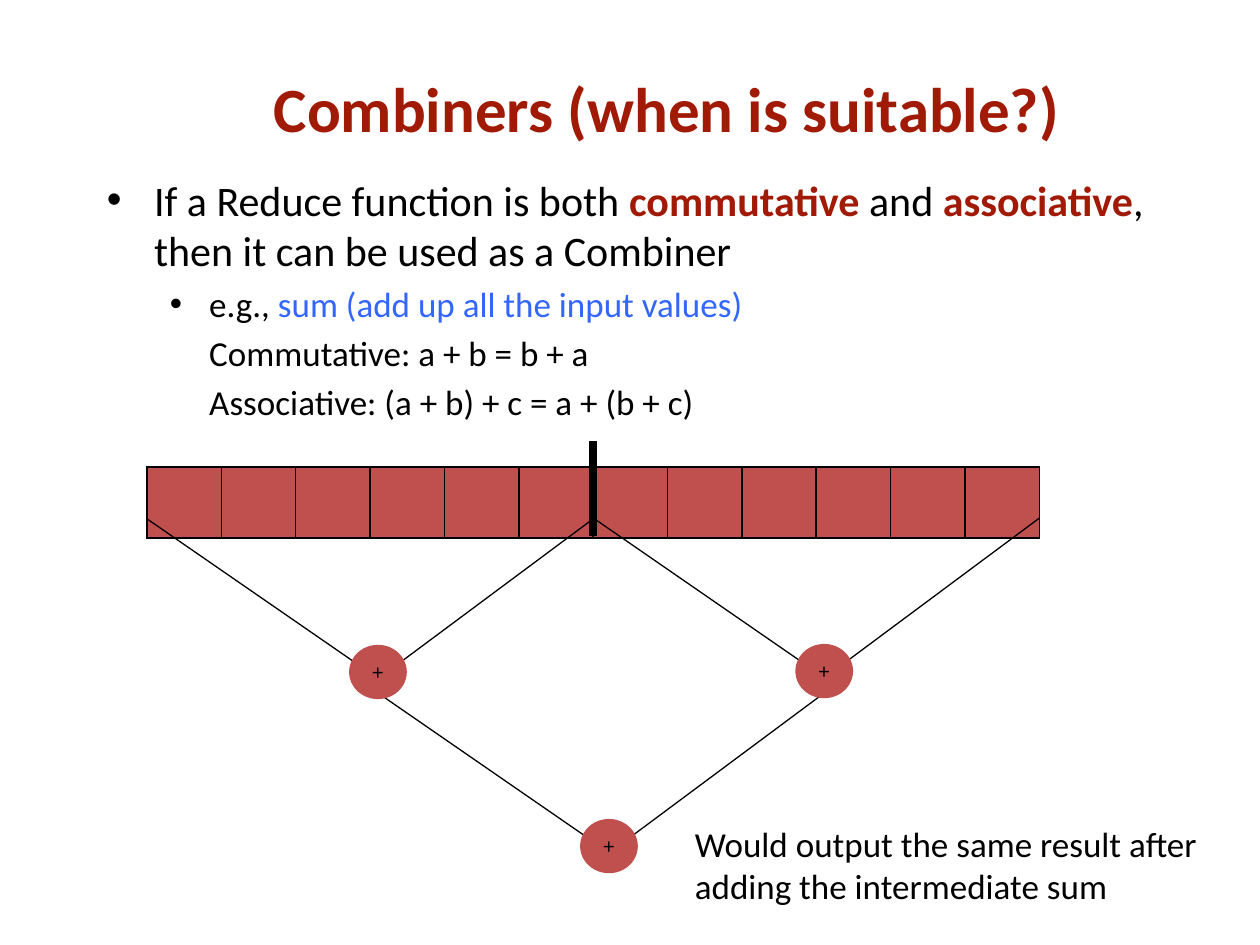
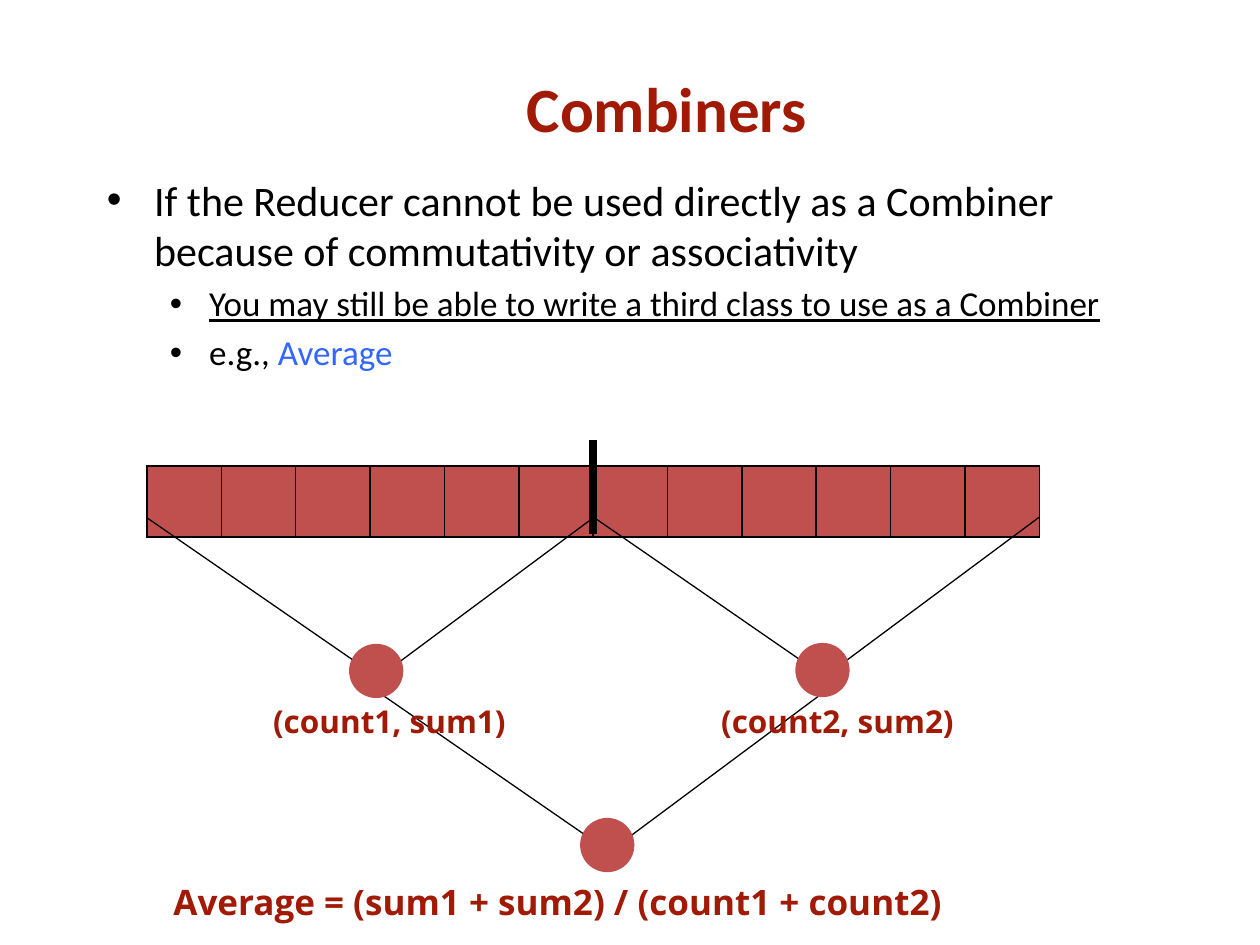
from lxml.etree import SubElement
from pptx import Presentation
from pptx.dml.color import RGBColor
from pptx.enum.shapes import MSO_CONNECTOR, MSO_SHAPE
from pptx.enum.text import MSO_ANCHOR, MSO_AUTO_SIZE, PP_ALIGN
from pptx.oxml.ns import qn
from pptx.util import Pt

BLACK, RED, BLUE, BRICK = "000000", "A01A06", "3366FF", "C0504D"
BODY_FONT, LABEL_FONT = "Calibri", "Open Sans"

# Run styles: colour, bold, underline
PLAIN, STRONG = (BLACK, False, False), (RED, True, False)
EXAMPLE, UNDERLINED = (BLUE, False, False), (BLACK, False, True)

# Paragraph kinds: level, size, left margin, first-line indent, bulleted
KINDS = {
    "point": (0, 24, 27, -27, True),
    "detail": (1, 20, 58.5, -22.5, True),
    "law": (1, 20, 58.5, 0, False),
}

# Notes: text, (left, top, width, height), font, size, colour, bold, wrap
SLIDES = [
    {
        "title": "Combiners (when is suitable?)",
        "body_height": 372,
        "body": [
            ("point", [("If a Reduce function is both ", PLAIN), ("commutative", STRONG),
                       (" and ", PLAIN), ("associative", STRONG),
                       (", then it can be used as a Combiner", PLAIN)]),
            ("detail", [("e.g., ", PLAIN), ("sum (add up all the input values)", EXAMPLE)]),
            ("law", [("Commutative: a + b = b + a", PLAIN)]),
            ("law", [("Associative: (a + b) + c = a + (b + c)", PLAIN)]),
        ],
        "operator": "+",
        "node_width": 33,
        "diagram_shift": 0,
        "notes": [("Would output the same result after adding the intermediate sum",
                   (390, 466.5, 318, 55.5), BODY_FONT, 20, BLACK, False, True)],
    },
    {
        "title": "Combiners",
        "body_height": 426,
        "body": [
            ("point", [("If the Reducer cannot be used directly as a Combiner because of "
                        "commutativity or associativity", PLAIN)]),
            ("detail", [("You may still be able to write a third class to use as a Combiner",
                         UNDERLINED)]),
            ("detail", [("e.g., ", PLAIN), ("Average", EXAMPLE)]),
        ],
        "operator": "",
        "node_width": 31,
        "diagram_shift": -0.6,
        "notes": [
            ("(count1, sum1)", (149, 397.5, 155, 29), LABEL_FONT, 18, RED, True, False),
            ("(count2, sum2)", (405, 397.5, 155, 29), LABEL_FONT, 18, RED, True, False),
            ("Average = (sum1 + sum2) / (count1 + count2)",
             (92, 499.5, 494, 31.5), LABEL_FONT, 20, RED, True, False),
        ],
    },
]

INPUT_COUNT = 12
INPUT_LEFT, INPUT_TOP, INPUT_WIDTH, INPUT_HEIGHT = 84, 267, 510, 40.5
MERGE_SPAN, MERGE_DROP = INPUT_WIDTH / 2, 87
MERGE_ORIGINS = [(216, 396), (INPUT_LEFT, 296.5), (INPUT_LEFT + MERGE_SPAN, 296)]
NODE_HEIGHT = 31


def rgb(value):
    """Turn a hex string into a colour."""
    return RGBColor.from_string(value)


def points(*lengths):
    """Turn numbers into point lengths."""
    return [Pt(length) for length in lengths]


def set_font(font, name, size, color, bold=False):
    """Set the look of a font."""
    font.name, font.size, font.bold = name, Pt(size), bold
    font.color.rgb = rgb(color)


def add_text(slide, text, box, name, size, color, bold, wrap, align=PP_ALIGN.LEFT):
    """Add a text box with one paragraph."""
    frame = slide.shapes.add_textbox(*points(*box)).text_frame
    frame.word_wrap = wrap
    paragraph = frame.paragraphs[0]
    paragraph.text, paragraph.alignment = text, align
    set_font(paragraph.font, name, size, color, bold)
    return frame


def add_body(slide, content, height):
    """Add the bulleted text of a slide."""
    frame = slide.shapes.add_textbox(*points(54, 96, 612, height)).text_frame
    frame.word_wrap = True
    for index, (kind, runs) in enumerate(content):
        level, size, margin, indent, bulleted = KINDS[kind]
        paragraph = frame.add_paragraph() if index else frame.paragraphs[0]
        paragraph.level, paragraph.space_before = level, Pt(size * 0.2)
        properties = paragraph._p.get_or_add_pPr()
        properties.set("marL", str(Pt(margin)))
        properties.set("indent", str(Pt(indent)))
        if bulleted:
            bullet_color = SubElement(properties, qn("a:buClr"))
            SubElement(bullet_color, qn("a:srgbClr"), val=BLACK)
            SubElement(properties, qn("a:buFont"), typeface="Arial")
            SubElement(properties, qn("a:buChar"), char="•")
        else:
            SubElement(properties, qn("a:buNone"))
        for text, (color, bold, underline) in runs:
            run = paragraph.add_run()
            run.text = text
            set_font(run.font, BODY_FONT, size, color, bold)
            run.font.underline = underline


def add_line(shapes, start, end, width=0.75):
    """Add a straight black line without a shadow."""
    line = shapes.add_connector(MSO_CONNECTOR.STRAIGHT, *points(*start, *end))
    line.line.color.rgb, line.line.width = rgb(BLACK), Pt(width)
    SubElement(line._element.spPr, qn("a:effectLst"))


def add_inputs(slide, shift):
    """Add the row of input values and the bar that splits it."""
    table = slide.shapes.add_table(1, INPUT_COUNT, *points(
        INPUT_LEFT, INPUT_TOP + shift, INPUT_WIDTH, INPUT_HEIGHT)).table
    table.first_row = table.horz_banding = False
    for column in table.columns:
        column.width = Pt(INPUT_WIDTH / INPUT_COUNT)
    for cell in table.iter_cells():
        properties = cell._tc.get_or_add_tcPr()
        for side in ("lnL", "lnR", "lnT", "lnB"):
            border = SubElement(properties, qn("a:" + side), w=str(Pt(1)))
            fill = SubElement(border, qn("a:solidFill"))
            SubElement(fill, qn("a:srgbClr"), val=BLACK)
        cell.fill.solid()
        cell.fill.fore_color.rgb = rgb(BRICK)
    middle = INPUT_LEFT + MERGE_SPAN
    add_line(slide.shapes, (middle, 252 + shift), (middle, 306 + shift), 4.5)


def add_merge(slide, left, top, operator, node_width):
    """Add two lines that run down from the span's ends into a node."""
    shapes = slide.shapes.add_group_shape().shapes
    add_line(shapes, (left, top), (left + 126, top + MERGE_DROP))
    add_line(shapes, (left + MERGE_SPAN, top), (left + 138, top + MERGE_DROP))
    node = shapes.add_shape(MSO_SHAPE.OVAL, *points(
        left + 115.5, top + 72, node_width, NODE_HEIGHT))
    node.shadow.inherit = False
    node.fill.solid()
    node.fill.fore_color.rgb = rgb(BRICK)
    node.line.fill.background()
    if operator:
        frame = node.text_frame
        frame.word_wrap, frame.vertical_anchor = False, MSO_ANCHOR.MIDDLE
        paragraph = frame.paragraphs[0]
        paragraph.text, paragraph.alignment = operator, PP_ALIGN.CENTER
        set_font(paragraph.font, LABEL_FONT, 12, BLACK)


def build_slide(deck, content):
    """Build one slide: body, title, merge diagram and notes."""
    slide = deck.slides.add_slide(deck.slide_layouts[6])
    shift = content["diagram_shift"]
    add_body(slide, content["body"], content["body_height"])
    add_text(slide, content["title"], (66, 36, 630, 90), BODY_FONT, 36, RED, True, True,
             PP_ALIGN.CENTER)
    add_inputs(slide, shift)
    for left, top in MERGE_ORIGINS:
        add_merge(slide, left, top + shift, content["operator"], content["node_width"])
    for note in content["notes"]:
        add_text(slide, *note).auto_size = MSO_AUTO_SIZE.SHAPE_TO_FIT_TEXT


deck = Presentation()
deck.slide_width, deck.slide_height = points(720, 540)
for slide_content in SLIDES:
    build_slide(deck, slide_content)
deck.save("out.pptx")
